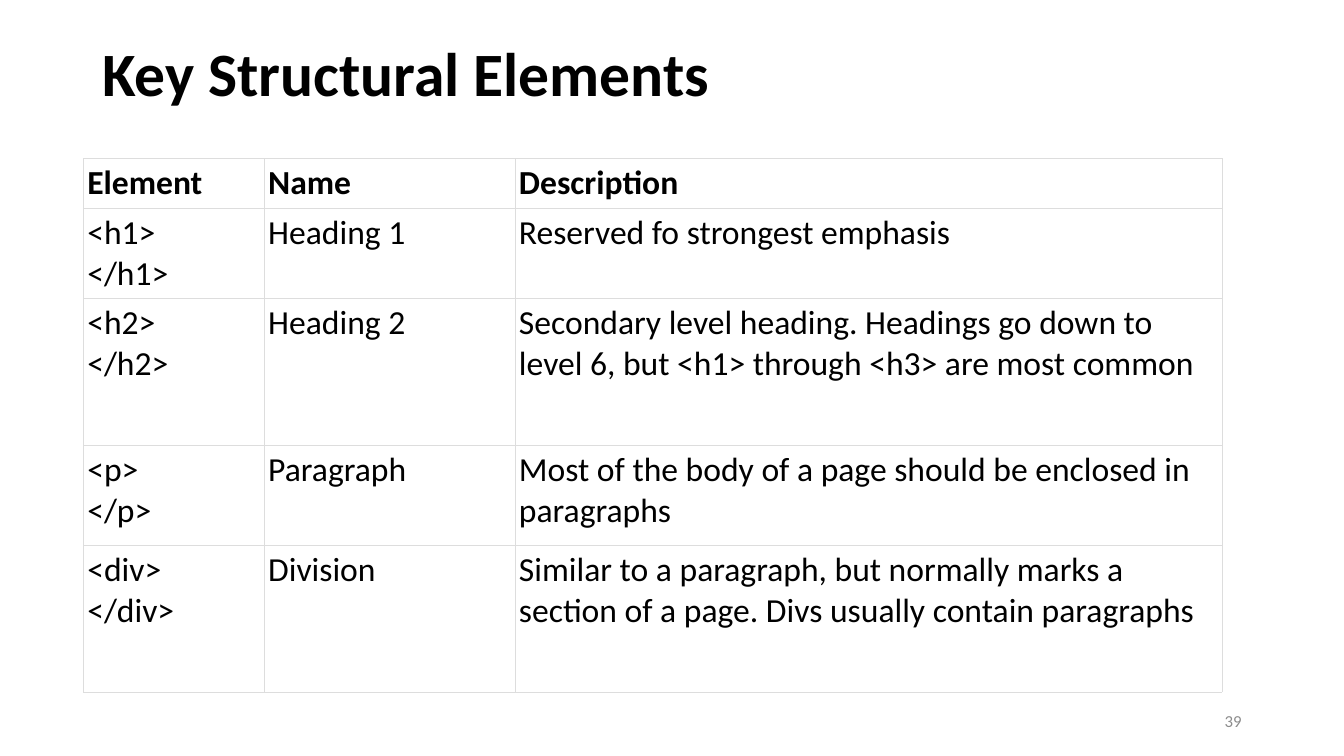
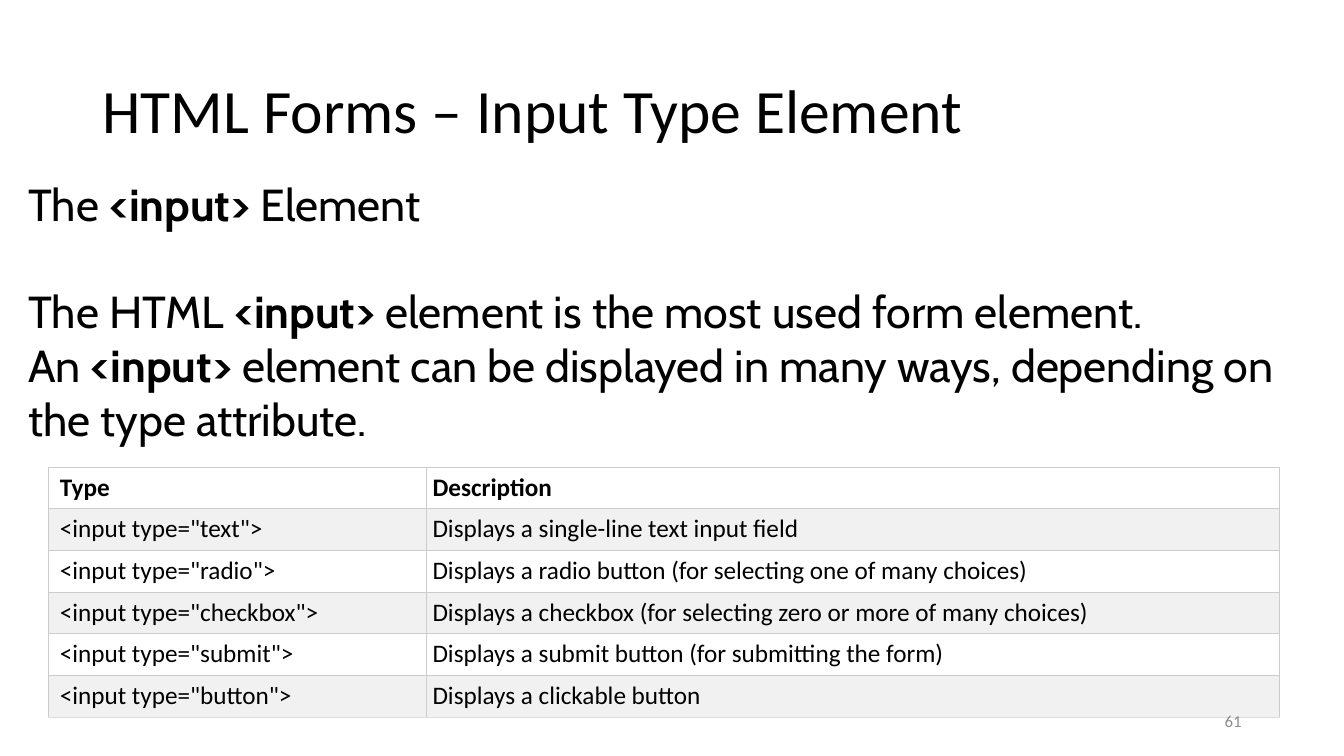
from dataclasses import dataclass

from lxml.etree import SubElement
from pptx import Presentation
from pptx.dml.color import RGBColor
from pptx.enum.shapes import MSO_SHAPE
from pptx.enum.text import MSO_ANCHOR, PP_ALIGN
from pptx.oxml.ns import qn
from pptx.slide import Slide
from pptx.table import _Cell
from pptx.text.text import TextFrame
from pptx.util import Cm, Pt

BLACK = RGBColor(0x00, 0x00, 0x00)
WHITE = RGBColor(0xFF, 0xFF, 0xFF)
STRIPE = RGBColor(0xF1, 0xF1, 0xF1)
PAGE_GREY = RGBColor(0x8C, 0x8C, 0x8C)
LIGHT_RULE = RGBColor(0xDD, 0xDD, 0xDD)
DARK_RULE = RGBColor(0xCC, 0xCC, 0xCC)
MAIN_FONT = "Calibri"
BODY_FONT = "Cabin"
KEY_TERM = "<input>"


@dataclass
class TableSpec:
    """Place and look of a table; lengths in centimetres."""
    left: float
    top: float
    columns: list[float]
    row_heights: list[float]
    text_size: int
    first_margin: float
    side_margin: float
    margin: float
    rule: RGBColor
    stripe: RGBColor
    rows: list[tuple[str, ...]]


ELEMENTS = TableSpec(
    left=2.1, top=3.99, columns=[4.56, 6.32, 17.82],
    row_heights=[1.26, 2.27, 3.7, 2.52, 3.7],
    text_size=24, first_margin=0.1, side_margin=0.1, margin=0.1,
    rule=LIGHT_RULE, stripe=WHITE,
    rows=[
        ("Element", "Name", "Description"),
        ("<h1>\v</h1>", "Heading 1", "Reserved fo strongest emphasis"),
        ("<h2>\v</h2>", "Heading 2",
         "Secondary level heading. Headings go down to level 6, "
         "but <h1> through <h3> are most common"),
        ("<p>\v</p>", "Paragraph",
         "Most of the body of a page should be enclosed in paragraphs"),
        ("<div>\v</div>", "Division",
         "Similar to a paragraph, but normally marks a section of a page. "
         "Divs usually contain paragraphs"),
    ],
)

INPUT_TYPES = TableSpec(
    left=1.22, top=11.77, columns=[9.53, 21.49], row_heights=[1.05] * 6,
    text_size=18, first_margin=0.29, side_margin=0.15, margin=0.13,
    rule=DARK_RULE, stripe=STRIPE,
    rows=[
        ("Type", "Description"),
        ('<input type="text">', "Displays a single-line text input field"),
        ('<input type="radio">',
         "Displays a radio button (for selecting one of many choices)"),
        ('<input type="checkbox">',
         "Displays a checkbox (for selecting zero or more of many choices)"),
        ('<input type="submit">',
         "Displays a submit button (for submitting the form)"),
        ('<input type="button">', "Displays a clickable button"),
    ],
)

INPUT_NOTES = [
    "The <input> Element",
    "The HTML <input> element is the most used form element.",
    "An <input> element can be displayed in many ways, "
    "depending on the type attribute.",
]


def style(para, size: int, color: RGBColor = BLACK, bold: bool = False,
          name: str = MAIN_FONT) -> None:
    para.font.name = name
    para.font.size = Pt(size)
    para.font.bold = bold
    para.font.color.rgb = color


def add_text_box(page: Slide, left: float, top: float, width: float,
                 height: float) -> TextFrame:
    box = page.shapes.add_textbox(Cm(left), Cm(top), Cm(width), Cm(height))
    frame = box.text_frame
    frame.word_wrap = True
    frame.vertical_anchor = MSO_ANCHOR.MIDDLE
    return frame


def add_title(page: Slide, text: str, middle: float, bold: bool) -> None:
    height = 2
    para = add_text_box(page, 2.33, middle - height / 2, 29.21, height).paragraphs[0]
    para.text = text
    para.line_spacing = 0.9
    style(para, 44, bold=bold)


def add_page_number(page: Slide, number: int) -> None:
    para = add_text_box(page, 23.92, 17.66, 7.62, 1.01).paragraphs[0]
    para.text = str(number)
    para.alignment = PP_ALIGN.RIGHT
    style(para, 12, PAGE_GREY)


def add_notes_panel(page: Slide, lines: list[str]) -> None:
    """Write the lines on a white panel with the key term in bold."""
    panel = page.shapes.add_shape(
        MSO_SHAPE.RECTANGLE, Cm(0.46), Cm(4.29), Cm(33.4), Cm(7.09))
    panel.shadow.inherit = False
    panel.fill.solid()
    panel.fill.fore_color.rgb = WHITE
    panel.line.fill.background()
    frame = panel.text_frame
    frame.word_wrap = True
    frame.vertical_anchor = MSO_ANCHOR.MIDDLE
    for index, line in enumerate(lines):
        para = frame.paragraphs[0] if index == 0 else frame.add_paragraph()
        para.alignment = PP_ALIGN.LEFT
        style(para, 32, name=BODY_FONT)
        before, after = line.split(KEY_TERM)
        for text in (before, KEY_TERM, after):
            span = para.add_run()
            span.text = text
            span.font.bold = text == KEY_TERM
    frame.paragraphs[0].space_after = Pt(38)


def add_borders(cell: _Cell, rule: RGBColor, bottom: RGBColor) -> None:
    properties = cell._tc.get_or_add_tcPr()
    for side in ("L", "R", "T", "B"):
        line = SubElement(properties, qn(f"a:ln{side}"), w=str(Pt(0.5)))
        fill = SubElement(line, qn("a:solidFill"))
        color = bottom if side == "B" else rule
        SubElement(fill, qn("a:srgbClr"), val=str(color))


def add_data_table(page: Slide, spec: TableSpec) -> None:
    table = page.shapes.add_table(
        len(spec.rows), len(spec.columns), Cm(spec.left), Cm(spec.top),
        Cm(sum(spec.columns)), Cm(sum(spec.row_heights))).table
    for column, width in zip(table.columns, spec.columns):
        column.width = Cm(width)
    for row_index, texts in enumerate(spec.rows):
        table.rows[row_index].height = Cm(spec.row_heights[row_index])
        is_last = row_index == len(spec.rows) - 1
        for column_index, text in enumerate(texts):
            cell = table.cell(row_index, column_index)
            cell.margin_left = Cm(
                spec.side_margin if column_index else spec.first_margin)
            cell.margin_right = Cm(spec.side_margin)
            cell.margin_top = cell.margin_bottom = Cm(spec.margin)
            # Borders must precede the fill in the cell properties
            add_borders(cell, spec.rule, LIGHT_RULE if is_last else spec.rule)
            cell.fill.solid()
            cell.fill.fore_color.rgb = spec.stripe if row_index % 2 else WHITE
            para = cell.text_frame.paragraphs[0]
            para.text = text
            style(para, spec.text_size, bold=row_index == 0)


def main() -> None:
    deck = Presentation()
    deck.slide_width, deck.slide_height = Cm(33.87), Cm(19.05)
    blank = deck.slide_layouts[6]

    # Structural elements
    page = deck.slides.add_slide(blank)
    add_title(page, "Key Structural Elements", middle=1.93, bold=True)
    add_data_table(page, ELEMENTS)
    add_page_number(page, 39)

    # Input types
    page = deck.slides.add_slide(blank)
    add_title(page, "HTML Forms – Input Type Element", middle=2.86, bold=False)
    add_notes_panel(page, INPUT_NOTES)
    add_data_table(page, INPUT_TYPES)
    add_page_number(page, 61)

    deck.save("out.pptx")


if __name__ == "__main__":
    main()
